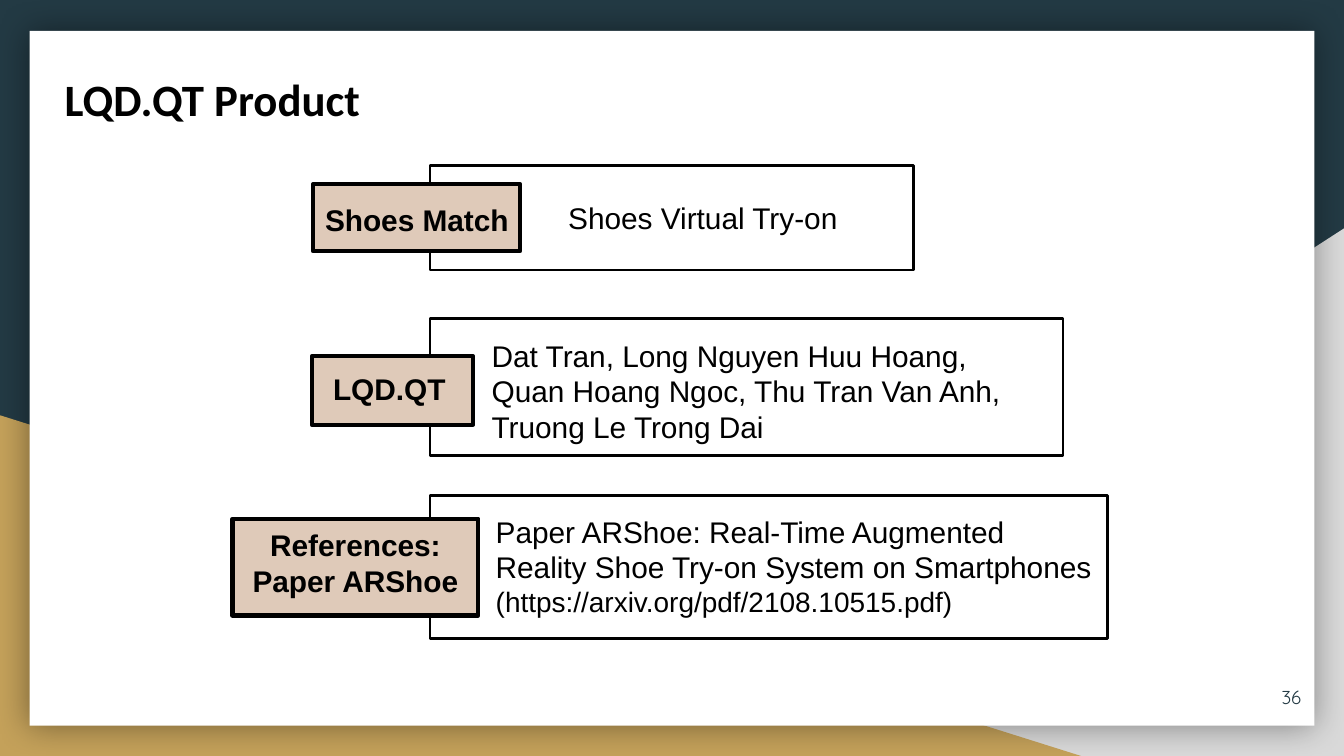
from dataclasses import dataclass

from lxml import etree
from pptx import Presentation
from pptx.dml.color import RGBColor
from pptx.enum.shapes import MSO_SHAPE
from pptx.enum.text import MSO_ANCHOR, PP_ALIGN
from pptx.oxml.ns import qn
from pptx.util import Inches, Pt

RECTANGLE, TRIANGLE = MSO_SHAPE.RECTANGLE, MSO_SHAPE.RIGHT_TRIANGLE
TOP, MIDDLE = MSO_ANCHOR.TOP, MSO_ANCHOR.MIDDLE
LEFT, CENTER, RIGHT = PP_ALIGN.LEFT, PP_ALIGN.CENTER, PP_ALIGN.RIGHT

COLUMNS = 100
WIDTH = Inches(10)
HEIGHT = WIDTH * 9 // 16
CELL = WIDTH // COLUMNS
TITLE_ONLY = 5


@dataclass(frozen=True)
class Theme:
    navy: str = "233A44"
    gold: str = "C4A15A"
    grey: str = "D9D9D9"
    paper: str = "FFFFFF"
    tag: str = "DFCAB9"
    ink: str = "000000"
    body_font: str = "Arial"
    title_font: str = "Calibri"
    number_font: str = "Quicksand"
    title_size: int = 24
    body_size: int = 16
    link_size: int = 15
    number_size: int = 10
    panel_line: float = 1.5
    tag_line: float = 2.25


class SlideBuilder:
    def __init__(self, page, theme):
        self.page = page
        self.theme = theme

    def background(self, color):
        fill = self.page.background.fill
        fill.solid()
        fill.fore_color.rgb = RGBColor.from_string(color)

    def block(self, area, color, line=None, kind=RECTANGLE):
        shape = self.page.shapes.add_shape(kind, *[round(n * CELL) for n in area])
        shape.shadow.inherit = False
        shape.fill.solid()
        shape.fill.fore_color.rgb = RGBColor.from_string(color)
        if line is None:
            shape.line.fill.background()
        else:
            shape.line.color.rgb = RGBColor.from_string(self.theme.ink)
            shape.line.width = Pt(line)
        return shape

    def triangle(self, area, color, mirrored=False):
        shape = self.block(area, color, kind=TRIANGLE)
        if mirrored:
            shape._element.spPr.find(qn("a:xfrm")).set("flipH", "1")

    def card(self, area):
        shape = self.block(area, self.theme.paper)
        effects = shape._element.spPr.find(qn("a:effectLst"))
        shadow = etree.SubElement(effects, qn("a:outerShdw"), blurRad=str(Pt(18)),
                                  dist="0", dir="0", algn="ctr", rotWithShape="0")
        color = etree.SubElement(shadow, qn("a:srgbClr"), val=self.theme.ink)
        etree.SubElement(color, qn("a:alpha"), val="40000")

    def set_text(self, box, spans, font, bold=False, align=LEFT, anchor=TOP,
                 color=None, inset=0.05):
        frame = box.text_frame
        frame.word_wrap = True
        frame.vertical_anchor = anchor
        frame.margin_left = frame.margin_right = Inches(0.1)
        frame.margin_top = frame.margin_bottom = Inches(inset)
        para = frame.paragraphs[0]
        para.alignment = align
        for text, size in spans:
            span = para.add_run()
            span.text = text
            span.font.name = font
            span.font.size = Pt(size)
            span.font.bold = bold
            span.font.color.rgb = RGBColor.from_string(color or self.theme.ink)

    def text(self, area, spans, font=None, **style):
        box = self.page.shapes.add_textbox(*[round(n * CELL) for n in area])
        self.set_text(box, spans, font or self.theme.body_font, **style)

    def title(self, area, text):
        box = self.page.shapes.title
        box.left, box.top, box.width, box.height = [round(n * CELL) for n in area]
        self.set_text(box, [(text, self.theme.title_size)], self.theme.title_font,
                      bold=True, inset=0.1)
        self.page.shapes._spTree.append(box._element)

    def entry(self, panel, tag, label_area, label, align, body_area, body):
        self.block(panel, self.theme.paper, self.theme.panel_line)
        self.text(body_area, body)
        self.block(tag, self.theme.tag, self.theme.tag_line)
        self.text(label_area, [(label, self.theme.body_size)], bold=True, align=align)


def main():
    theme = Theme()
    deck = Presentation()
    deck.slide_width, deck.slide_height = WIDTH, HEIGHT
    page = deck.slides.add_slide(deck.slide_layouts[TITLE_ONLY])
    builder = SlideBuilder(page, theme)

    builder.background(theme.navy)
    builder.triangle((39.2, 17, 60.8, 39.3), theme.grey, mirrored=True)
    builder.triangle((0, 30.9, 80.6, 25.4), theme.gold)
    builder.card((2.2, 2.3, 95.6, 51.7))
    builder.title((3.8, 4.3, 47, 6.1), "LQD.QT Product")

    size = theme.body_size
    entries = [
        ((32, 12.3, 36, 7.8), (23.3, 13.7, 15.4, 5),
         (23.2, 14.5, 16.2, 3.7), "Shoes Match", LEFT,
         (41.3, 14.4, 28.4, 3.7), [("Shoes Virtual Try-on", size)]),
        ((32, 23.7, 47.1, 10.2), (23.2, 26.5, 12, 5.1),
         (23.8, 27.1, 14.4, 3.7), "LQD.QT", LEFT,
         (35.6, 24.6, 40.9, 9.1),
         [("Dat Tran, Long Nguyen Huu Hoang, Quan Hoang Ngoc, "
           "Thu Tran Van Anh, Truong Le Trong Dai", size)]),
        ((32, 36.9, 50.4, 10.6), (17.3, 38.6, 18.3, 7.2),
         (17.6, 38.7, 17.7, 6.4), "References: Paper ARShoe", CENTER,
         (35.9, 37.7, 46.7, 8.9),
         [("Paper ARShoe: Real-Time Augmented Reality Shoe Try-on "
           "System on Smartphones ", size),
          ("(https://arxiv.org/pdf/2108.10515.pdf)", theme.link_size)]),
    ]
    for entry in entries:
        builder.entry(*entry)

    builder.text((91.8, 49.7, 6, 4.3), [("36", theme.number_size)],
                 theme.number_font, align=RIGHT, anchor=MIDDLE,
                 color=theme.navy, inset=0.1)
    deck.save("out.pptx")


if __name__ == "__main__":
    main()
